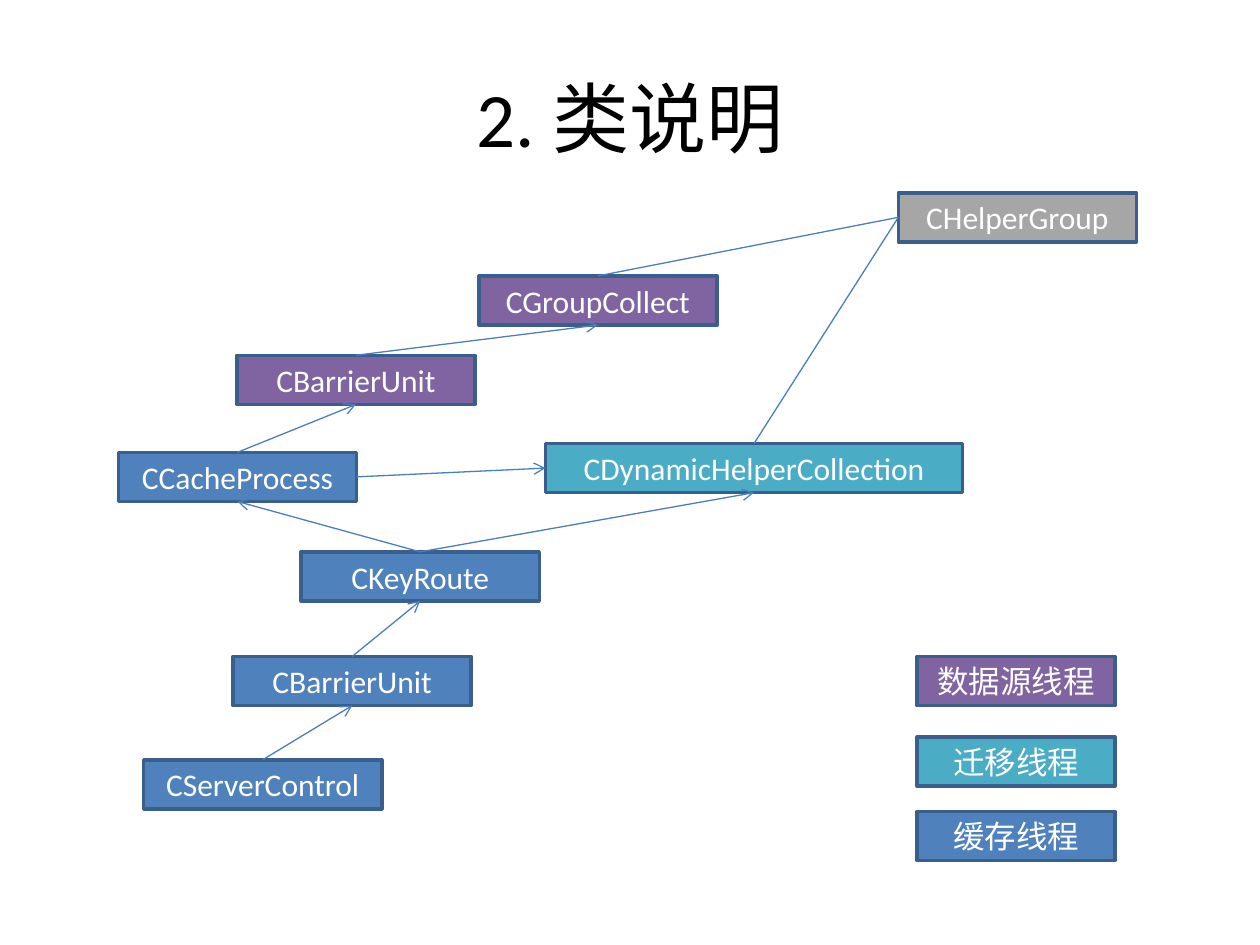
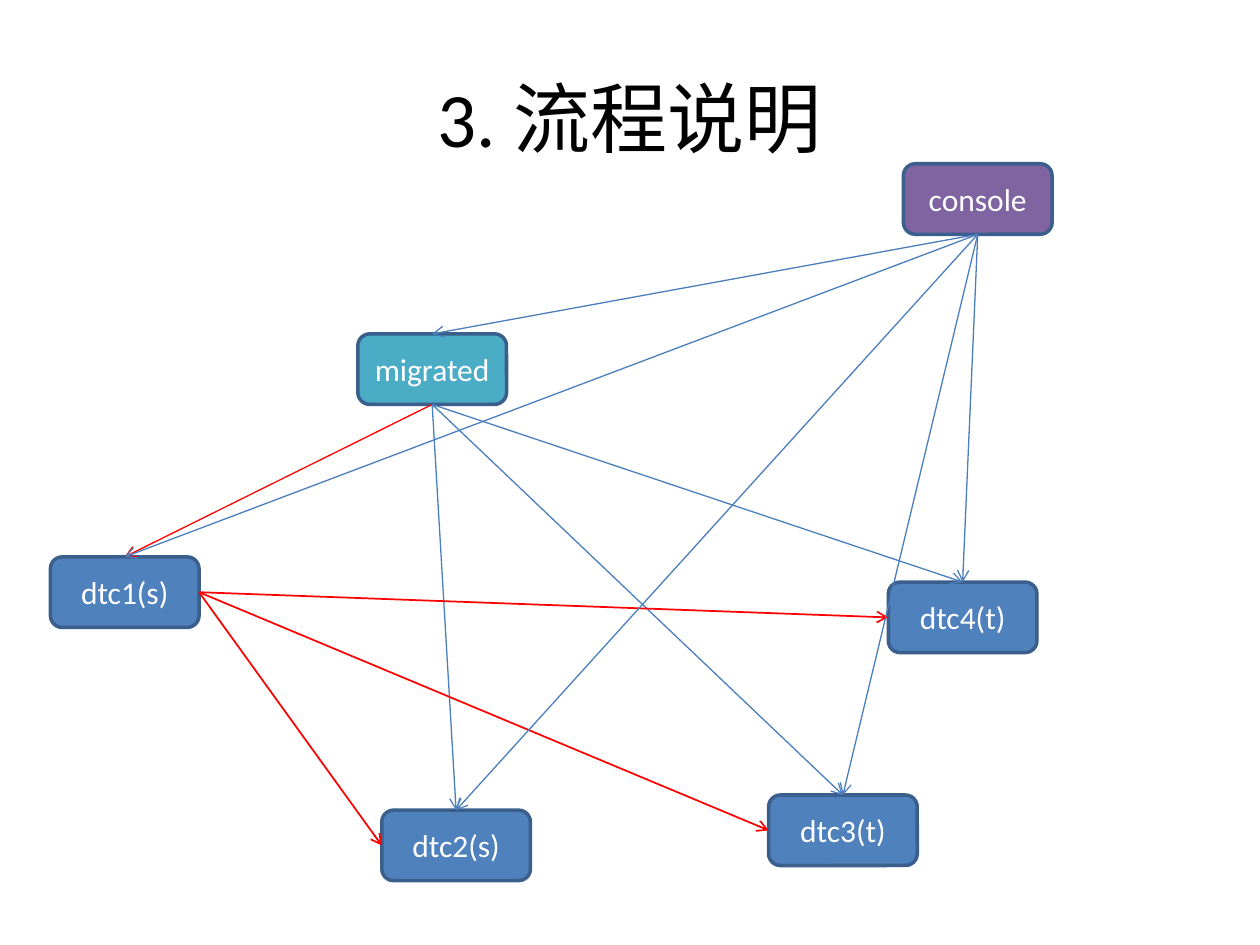
from lxml import etree
from pptx import Presentation
from pptx.dml.color import RGBColor
from pptx.enum import shapes, text
from pptx.oxml import ns
from pptx.util import Inches, Pt

FONT = "Calibri"
BLUE, TEAL, PURPLE, GREY = "4F81BD", "4BACC6", "8064A2", "A6A6A6"
EDGE, LINK, RED = "3A5F8C", "4B7EBC", "FF0000"
WHITE, BLACK = "FFFFFF", "000000"
RECT = shapes.MSO_SHAPE.RECTANGLE
ROUND = shapes.MSO_SHAPE.ROUNDED_RECTANGLE
TOP, LEFT, BOTTOM, RIGHT = range(4)


def paint(part, color):
    """Give a fill, line or font one solid colour."""
    if hasattr(part, "solid"):
        part.solid()
        part.fore_color.rgb = RGBColor.from_string(color)
    else:
        part.color.rgb = RGBColor.from_string(color)


def write(frame, words, size, color):
    frame.vertical_anchor = text.MSO_ANCHOR.MIDDLE
    para = frame.paragraphs[0]
    para.alignment = text.PP_ALIGN.CENTER
    run = para.add_run()
    run.text = words
    run.font.name = FONT
    run.font.size = Pt(size)
    paint(run.font, color)


def add_page(deck, words):
    page = deck.slides.add_slide(deck.slide_layouts[5])
    title = page.shapes.title
    title.left, title.top = Inches(0.5), Inches(0.3)
    title.width, title.height = Inches(9), Inches(1.25)
    write(title.text_frame, words, 44, BLACK)
    return page


def add_node(page, kind, box, words, color):
    node = page.shapes.add_shape(kind, *map(Inches, box))
    node.shadow.inherit = False
    paint(node.fill, color)
    paint(node.line, EDGE)
    node.line.width = Pt(2)
    write(node.text_frame, words, 18, WHITE)
    return node


def add_link(page, start, out, end, into, color=LINK, width=0.75, arrow=True):
    """Join two nodes at the given sides."""
    link = page.shapes.add_connector(shapes.MSO_CONNECTOR.STRAIGHT, 0, 0, 0, 0)
    link.begin_connect(start, out)
    link.end_connect(end, into)
    paint(link.line, color)
    link.line.width = Pt(width)
    if arrow:
        tip = etree.SubElement(link.line._get_or_add_ln(), ns.qn("a:tailEnd"))
        tip.set("type", "arrow")
    etree.SubElement(link._element.spPr, ns.qn("a:effectLst"))


def draw_classes(page, left, top):
    def put(words, x, y, color=BLUE, width=1.89):
        return add_node(page, RECT, (left + x, top + y, width, 0.39), words, color)

    server = put("CServerControl", 0.2, 4.5)
    unit = put("CBarrierUnit", 0.91, 3.68)
    route = put("CKeyRoute", 1.45, 2.85)
    cache = put("CCacheProcess", 0, 2.06)
    helper = put("CDynamicHelperCollection", 3.39, 1.99, TEAL, 3.31)
    collect = put("CGroupCollect", 2.86, 0.66, PURPLE)
    group = put("CHelperGroup", 6.19, 0, GREY)
    source = put("CBarrierUnit", 0.94, 1.29, PURPLE)

    for start, end in ((server, unit), (unit, route), (route, cache),
                       (route, helper), (cache, source), (source, collect)):
        add_link(page, start, TOP, end, BOTTOM)
    add_link(page, cache, RIGHT, helper, LEFT)
    for end in (collect, helper):
        add_link(page, group, LEFT, end, TOP, arrow=False)


def draw_legend(page, left, top):
    for words, y, color in (("数据源线程", 0, PURPLE), ("迁移线程", 0.64, TEAL),
                            ("缓存线程", 1.23, BLUE)):
        add_node(page, RECT, (left, top + y, 1.57, 0.39), words, color)


def draw_flow(page, left, top):
    def put(words, x, y, color=BLUE):
        return add_node(page, ROUND, (left + x, top + y, 1.18, 0.56), words, color)

    mover = put("migrated", 2.44, 1.35, TEAL)
    first = put("dtc1(s)", 0, 3.12)
    second = put("dtc2(s)", 2.63, 5.13)
    fourth = put("dtc4(t)", 6.65, 3.32)
    console = put("console", 6.77, 0, PURPLE)
    third = put("dtc3(t)", 5.7, 5.01)
    others = (second, third, fourth)

    add_link(page, mover, BOTTOM, first, TOP, RED)
    for end in others:
        add_link(page, mover, BOTTOM, end, TOP)
        add_link(page, first, RIGHT, end, LEFT, RED, 1)
    for end in (mover, first, *others):
        add_link(page, console, BOTTOM, end, TOP)


def main():
    deck = Presentation()
    deck.slide_width, deck.slide_height = Inches(10), Inches(7.5)
    page = add_page(deck, "2. 类说明")
    draw_classes(page, 0.94, 1.53)
    draw_legend(page, 7.28, 5.21)
    draw_flow(add_page(deck, "3. 流程说明"), 0.4, 1.3)
    deck.save("out.pptx")


if __name__ == "__main__":
    main()
